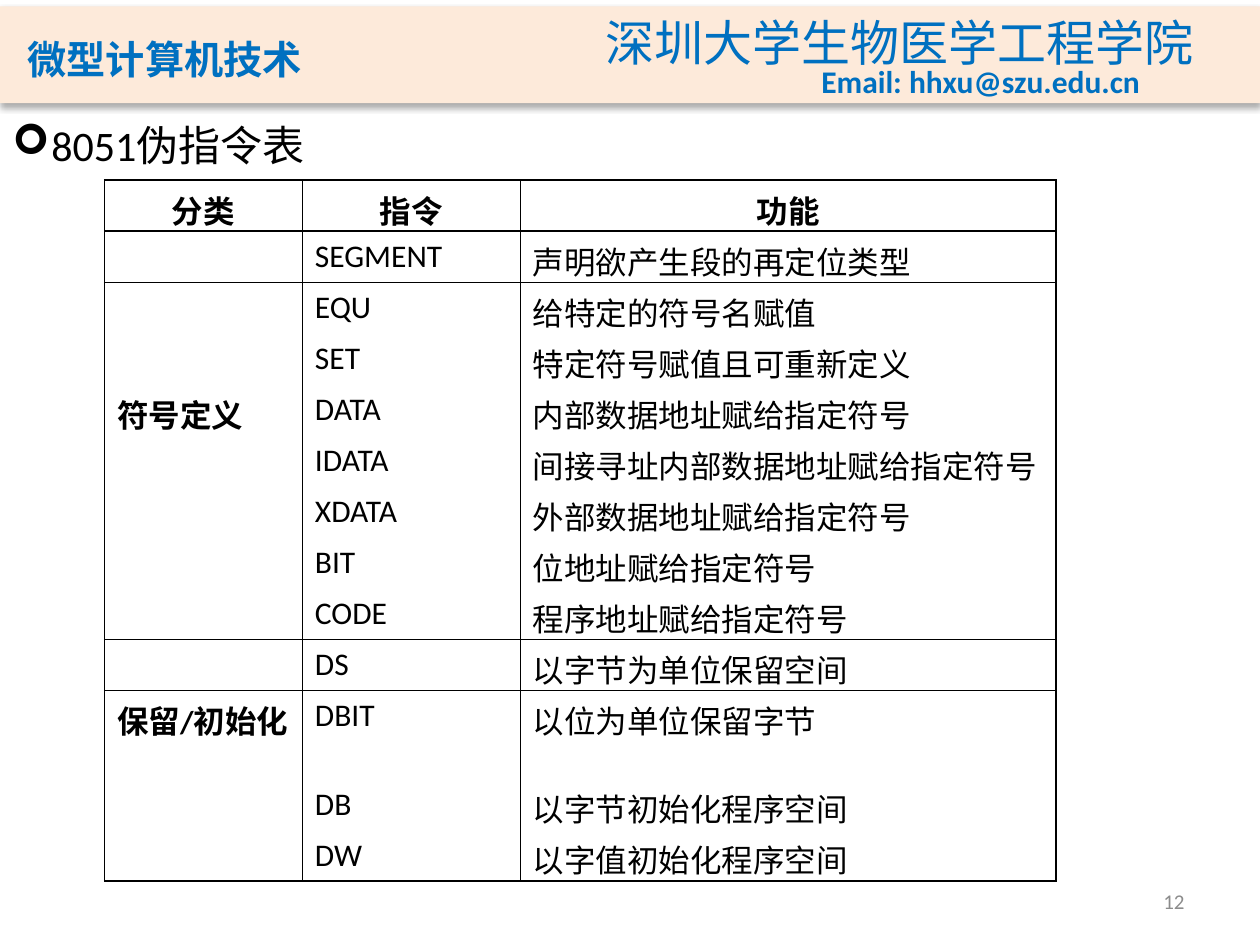
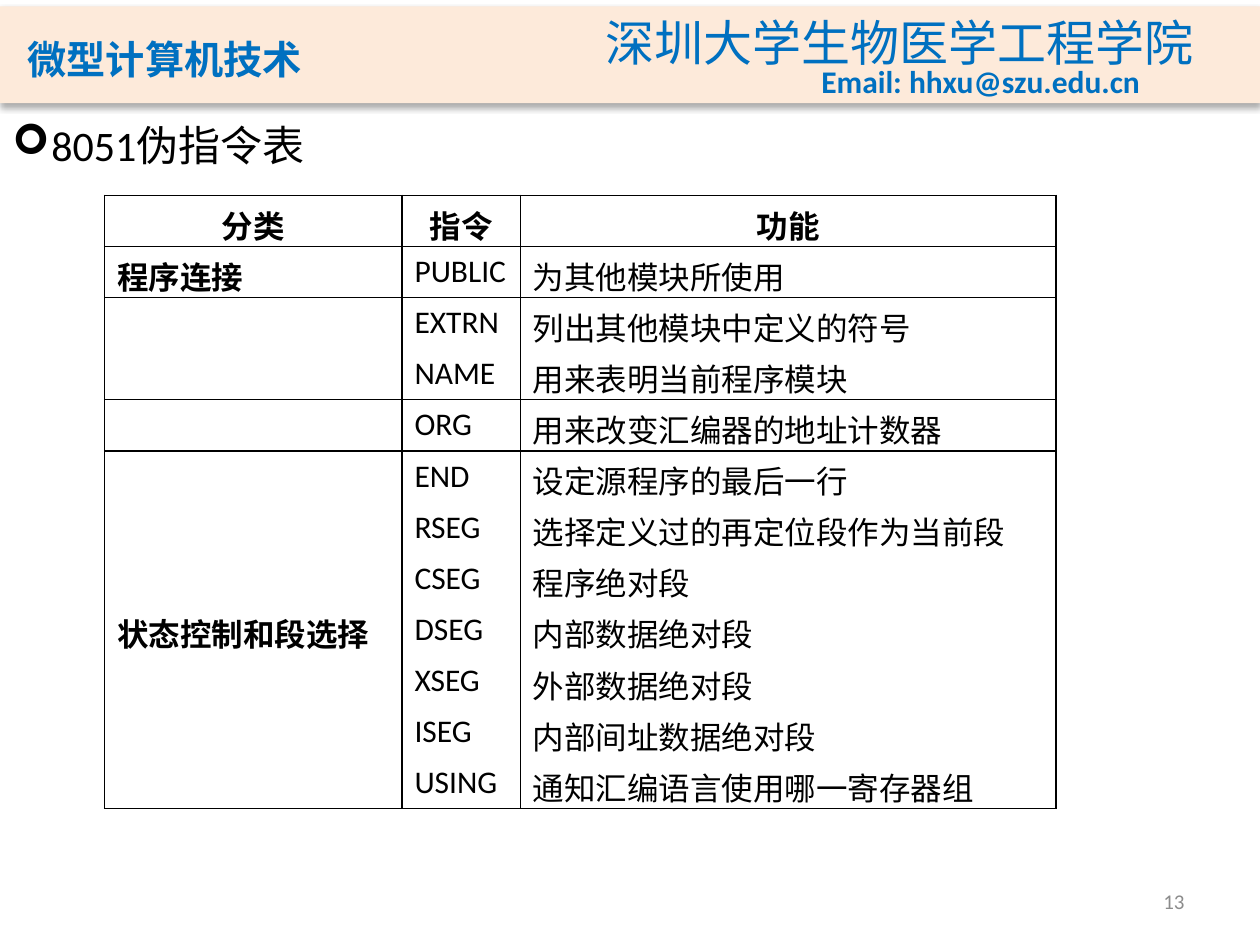
from dataclasses import dataclass
from lxml.etree import SubElement
from pptx import Presentation
from pptx.dml.color import RGBColor as Rgb
from pptx.enum.shapes import MSO_SHAPE as Preset
from pptx.enum.text import MSO_ANCHOR as Anchor, MSO_AUTO_SIZE as Fit, PP_ALIGN as Align
from pptx.oxml import parse_xml
from pptx.oxml.ns import qn
from pptx.util import Inches, Pt

DRAWING = 'xmlns:a="http://schemas.openxmlformats.org/drawingml/2006/main"'
PLAIN_GRID_STYLE = "{2D5ABB26-0587-4C30-8999-92F81FD0307C}"


@dataclass(frozen=True)
class Theme:
    band: str = "FDEADA"
    accent: str = "0070C0"
    ink: str = "000000"
    muted: str = "8C8C8C"
    latin: str = "Calibri"
    course_face: str = "Noto Sans CJK JP"
    school_face: str = "Noto Sans CJK SC"
    headline: int = 28
    topic: int = 24
    body: int = 18
    footer: int = 12
    rule: int = 1


@dataclass(frozen=True)
class Box:
    col: float
    row: float
    cols: float
    rows: float

    def inner(self, col, row, cols, rows):
        return Box(self.col + col, self.row + row, cols, rows)

    def place(self):
        return [Inches(n * CELL) for n in (self.col, self.row, self.cols, self.rows)]


THEME = Theme()
CELL = 0.1
PAGE = Box(0, 0, 100, 75)
HEADER = PAGE.inner(0, 0.5, 100, 7.7)
TOPIC = PAGE.inner(0, 9, 25.4, 5)
FOOTER = PAGE.inner(71.7, 69.5, 23.3, 4)
FIRST_PAGE = 12
HEADINGS = ("分类", "指令", "功能")

LESSONS = [
    (PAGE.inner(8.3, 14.3, 75.5, 52.7), (15.7, 17.3, 42.5), [
        ("符号定义", 3, [
            ("SEGMENT", "声明欲产生段的再定位类型"),
            ("EQU", "给特定的符号名赋值"),
            ("SET", "特定符号赋值且可重新定义"),
            ("DATA", "内部数据地址赋给指定符号"),
            ("IDATA", "间接寻址内部数据地址赋给指定符号"),
            ("XDATA", "外部数据地址赋给指定符号"),
            ("BIT", "位地址赋给指定符号"),
            ("CODE", "程序地址赋给指定符号"),
        ]),
        ("保留/初始化", 1, [
            ("DS", "以字节为单位保留空间"),
            ("DBIT", "以位为单位保留字节"),
            ("DB", "以字节初始化程序空间"),
            ("DW", "以字值初始化程序空间"),
        ]),
    ]),
    (PAGE.inner(8.3, 15.5, 75.5, 48.7), (23.6, 9.4, 42.5), [
        ("程序连接", 0, [
            ("PUBLIC", "为其他模块所使用"),
            ("EXTRN", "列出其他模块中定义的符号"),
            ("NAME", "用来表明当前程序模块"),
        ]),
        ("状态控制和段选择", 4, [
            ("ORG", "用来改变汇编器的地址计数器"),
            ("END", "设定源程序的最后一行"),
            ("RSEG", "选择定义过的再定位段作为当前段"),
            ("CSEG", "程序绝对段"),
            ("DSEG", "内部数据绝对段"),
            ("XSEG", "外部数据绝对段"),
            ("ISEG", "内部间址数据绝对段"),
            ("USING", "通知汇编语言使用哪一寄存器组"),
        ]),
    ]),
]


def write(paragraph, text, size, color, face=THEME.latin, bold=False, align=None):
    paragraph.text = text
    paragraph.alignment = align
    font = paragraph.font
    font.size, font.name, font.bold = Pt(size), face, bold
    font.color.rgb = Rgb.from_string(color)
    if face != THEME.latin:
        SubElement(paragraph.runs[0]._r.get_or_add_rPr(), qn("a:ea"), typeface=face)


def add_text(slide, box, text, size, color, anchor=Anchor.TOP, grow=False, **style):
    frame = slide.shapes.add_textbox(*box.place()).text_frame
    frame.word_wrap = not grow
    frame.auto_size = Fit.SHAPE_TO_FIT_TEXT if grow else Fit.NONE
    frame.vertical_anchor = anchor
    write(frame.paragraphs[0], text, size, color, **style)
    return frame.paragraphs[0]


def draw_header(slide, box):
    band = slide.shapes.add_shape(Preset.RECTANGLE, *box.place())
    band.shadow.inherit = False
    band.fill.solid()
    band.fill.fore_color.rgb = Rgb.from_string(THEME.band)
    band.line.fill.background()
    effects = band._element.spPr.find(qn("a:effectLst"))
    effects.append(parse_xml(
        f'<a:outerShdw {DRAWING} blurRad="{Pt(3.5)}" dist="{Pt(2.2)}" dir="5400000" '
        f'algn="t" rotWithShape="0"><a:srgbClr val="{THEME.ink}">'
        '<a:alpha val="32000"/></a:srgbClr></a:outerShdw>'))
    course = add_text(slide, box.inner(1.2, 1.1, 33.9, 5.6), "微型计算机技术",
                      THEME.headline, THEME.accent, anchor=Anchor.BOTTOM,
                      face=THEME.course_face, bold=True)
    course.runs[0]._r.get_or_add_rPr().set("cap", "small")
    add_text(slide, box.inner(47.1, 0, 49.1, 5.7), "深圳大学生物医学工程学院",
             THEME.headline, THEME.accent, grow=True, face=THEME.school_face)
    add_text(slide, box.inner(64.2, 3.9, 27.5, 4), "Email: hhxu@szu.edu.cn",
             THEME.body, THEME.accent, grow=True, bold=True)


def draw_topic(slide, box):
    topic = add_text(slide, box, "8051伪指令表", THEME.topic, THEME.ink, grow=True)
    props = topic._p.get_or_add_pPr()
    indent = Inches(0.31)
    props.set("marL", str(indent))
    props.set("indent", str(-indent))
    props.insert(0, parse_xml(f'<a:buFont {DRAWING} typeface="Wingdings"/>'))
    props.insert(1, parse_xml(f'<a:buChar {DRAWING} char="➢"/>'))


def draw_footer(slide, box, number):
    add_text(slide, box, str(number), THEME.footer, THEME.muted,
             anchor=Anchor.MIDDLE, align=Align.RIGHT)


def rule_cell(cell, edges):
    props = cell._tc.get_or_add_tcPr()
    for edge in edges:
        props.append(parse_xml(
            f'<a:ln{edge} {DRAWING} w="{Pt(THEME.rule)}"><a:solidFill>'
            f'<a:srgbClr val="{THEME.ink}"/></a:solidFill></a:ln{edge}>'))
    cell.fill.background()


def directive_rows(groups):
    yield HEADINGS, "LRTB"
    for category, label_row, directives in groups:
        for i, (directive, purpose) in enumerate(directives):
            top = "T" if i == 0 else ""
            bottom = "B" if i == len(directives) - 1 else ""
            label = category if i == label_row else ""
            yield (label, directive, purpose), "LR" + top + bottom


def draw_directives(slide, box, widths, groups):
    rows = list(directive_rows(groups))
    table = slide.shapes.add_table(len(rows), len(widths), *box.place()).table
    table.first_row = table.horz_banding = False
    table._tbl.tblPr.find(qn("a:tableStyleId")).text = PLAIN_GRID_STYLE
    for column, width in zip(table.columns, widths):
        column.width = Inches(width * CELL)
    for r, (texts, edges) in enumerate(rows):
        table.rows[r].height = Inches(box.rows * CELL / len(rows))
        for c, text in enumerate(texts):
            cell = table.cell(r, c)
            heading = r == 0
            write(cell.text_frame.paragraphs[0], text, THEME.body, THEME.ink,
                  bold=heading or c == 0, align=Align.CENTER if heading else None)
            rule_cell(cell, edges)


def build():
    deck = Presentation()
    deck.slide_width, deck.slide_height = PAGE.place()[2:]
    for number, (box, widths, groups) in enumerate(LESSONS, FIRST_PAGE):
        slide = deck.slides.add_slide(deck.slide_layouts[6])
        draw_header(slide, HEADER)
        draw_footer(slide, FOOTER, number)
        draw_directives(slide, box, widths, groups)
        draw_topic(slide, TOPIC)
    deck.save("out.pptx")


build()
